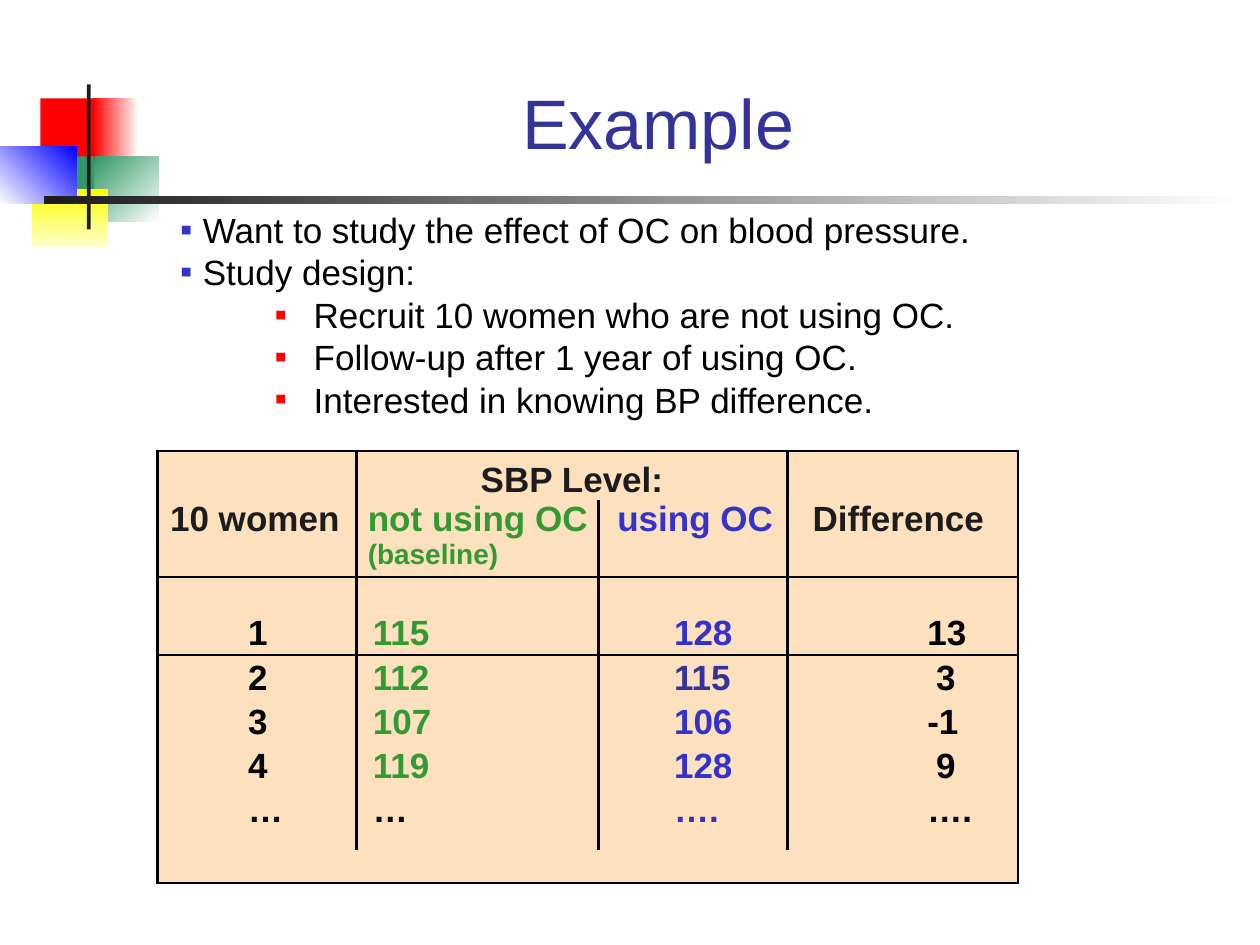
import pptx
import pptx.util
import pptx.dml.color
import pptx.enum.shapes
import pptx.enum.text
import pptx.oxml.ns
from dataclasses import dataclass
from lxml import etree

ALIGN = pptx.enum.text.PP_ALIGN
ANCHOR = pptx.enum.text.MSO_ANCHOR
qn = pptx.oxml.ns.qn


@dataclass(frozen=True)
class Theme:
    font: str = "Arial"
    head: int = 40
    text: int = 20
    small: int = 16
    ink: str = "000000"
    dark: str = "1C1C1C"
    navy: str = "333399"
    blue: str = "3333CC"
    green: str = "339933"
    red: str = "FF0000"
    sand: str = "FDE0BD"
    white: str = "FFFFFF"


T = Theme()
COLS = 100                       # grid columns over the slide's width
WIDE, HIGH = pptx.util.Inches(10), pptx.util.Inches(7.5)


def unit(n):
    """Length of n grid columns; rows have the same size."""
    return pptx.util.Emu(round(WIDE * n / COLS))


def tint(code):
    return pptx.dml.color.RGBColor.from_string(code)


def write(para, text, size=T.text, color=T.ink, bold=False, align=None):
    """Add one run of text to a paragraph."""
    if align is not None:
        para.alignment = align
    run = para.add_run()
    run.text = text
    run.font.name, run.font.size = T.font, pptx.util.Pt(size)
    run.font.bold, run.font.color.rgb = bold, tint(color)


def place(shape, left, top, width, height):
    shape.left, shape.top = unit(left), unit(top)
    shape.width, shape.height = unit(width), unit(height)


def block(group, box, first, last=None, angle=0):
    """Plain or graded block; the angle turns clockwise."""
    kind = pptx.enum.shapes.MSO_SHAPE.RECTANGLE
    shape = group.shapes.add_shape(kind, *map(unit, box))
    shape.shadow.inherit = False
    shape.line.fill.background()
    if last is None:
        shape.fill.solid()
        shape.fill.fore_color.rgb = tint(first)
        return
    shape.fill.gradient()
    shape.fill.gradient_angle = (360 - angle) % 360
    for stop, code in zip(shape.fill.gradient_stops, (first, last)):
        stop.color.rgb = tint(code)


def motif(slide):
    """Coloured blocks with the cross bars, behind the text."""
    group = slide.shapes.add_group_shape()
    for part in (
        ((3.2, 7.8, 4.8, 5.2), T.red),
        ((7.4, 7.8, 3.6, 5.2), T.red, T.white),
        ((7.5, 12.4, 5.1, 5.2), "339966", T.white, 45),
        ((4.3, 12.4, 3.2, 5.2), "339966"),
        ((2.5, 15, 6.1, 4.6), "FFFF00", "FFFFCC", 90),
        ((0, 11.6, 6.1, 4.6), T.white, "0000FF", 315),
        ((6.9, 6.7, 0.3, 11.5), T.dark),
        ((3.5, 15.6, 95.1, 0.6), T.dark, T.white),
    ):
        block(group, *part)
    slide.shapes._spTree.insert(2, group._element)


def bullet(para, color, left, hang):
    props = para._p.get_or_add_pPr()
    props.set("marL", str(unit(left)))
    props.set("indent", str(-unit(hang)))
    shade = etree.SubElement(props, qn("a:buClr"))
    etree.SubElement(shade, qn("a:srgbClr"), val=color)
    etree.SubElement(props, qn("a:buFont"), typeface=T.font)
    etree.SubElement(props, qn("a:buChar"), char="▪")


def points(body, items):
    """Bulleted list on two levels."""
    frame = body.text_frame
    frame.auto_size = pptx.enum.text.MSO_AUTO_SIZE.NONE
    for i, (level, text) in enumerate(items):
        para = frame.add_paragraph() if i else frame.paragraphs[0]
        para.level = level
        para.line_spacing = 0.8
        para.space_before = pptx.util.Pt(5 if i else 0)
        bullet(para, *((T.red, 10.6, 3.1) if level else (T.blue, 1.8, 1.8)))
        write(para, text)


def border(cell, sides):
    props = cell._tc.get_or_add_tcPr()
    for side in "LRTB":
        if side in sides:
            line = etree.SubElement(props, qn("a:ln" + side),
                                    w=str(pptx.util.Pt(1.75)))
            fill = etree.SubElement(line, qn("a:solidFill"))
            etree.SubElement(fill, qn("a:srgbClr"), val=T.ink)


def edges(row, col, span, last):
    """Sides to rule: the frame, the head's foot, and the columns."""
    def ruled(edge):
        return (edge in (0, 4) or edge in (1, 3) and row < last
                or edge == 2 and 1 < row < last)
    return ("L" * ruled(col) + "R" * ruled(col + span)
            + "T" * (row in (0, 2)) + "B" * (row in (1, last)))


def fill_cell(cell, lines, pad, top=0, anchor=ANCHOR.TOP, align=None):
    """Write (text, colour, size) lines into a cell."""
    cell.margin_left, cell.margin_top = unit(pad), unit(top)
    cell.margin_right = cell.margin_bottom = 0
    cell.vertical_anchor = anchor
    cell.fill.solid()
    cell.fill.fore_color.rgb = tint(T.sand)
    frame = cell.text_frame
    for i, (text, color, size) in enumerate(lines):
        para = frame.add_paragraph() if i else frame.paragraphs[0]
        write(para, text, size=size, color=color, bold=True, align=align)
    if not lines:
        etree.SubElement(frame.paragraphs[0]._p, qn("a:endParaRPr"), sz="800")


def grid(slide):
    """Table of pressure levels."""
    heads = (
        [("10 women", T.dark, T.text)],
        [("not using OC", T.green, T.text), ("(baseline)", T.green, T.small)],
        [("using OC", T.blue, T.text)],
        [("Difference", T.dark, T.text)],
    )
    data = (("1", "115", "128", "13"), ("2", "112", "115", "3"),
            ("3", "107", "106", "-1"), ("4", "119", "128", "9"),
            ("…", "…", "….", "…."))
    widths = (15.8, 19.2, 15, 18.3)
    heights = (3.9, 6.1, 6.2, 3.5, 3.5, 3.5, 5, 2.6)
    last = len(heights) - 1
    frame = slide.shapes.add_table(len(heights), len(widths), *map(
        unit, (12.5, 35.8, sum(widths), sum(heights))))
    table = frame.table
    table.first_row = table.horz_banding = False
    style = table._tbl.tblPr.find(qn("a:tableStyleId"))
    style.text = "{2D5ABB26-0587-4C30-8999-92F81FD0307C}"
    for col, width in zip(table.columns, widths):
        col.width = unit(width)
    for row, height in zip(table.rows, heights):
        row.height = unit(height)
    table.cell(0, 1).merge(table.cell(0, 2))

    for r in range(len(heights)):
        for c in range(len(widths)):
            cell = table.cell(r, c)
            if cell.is_spanned:
                continue
            span = cell.span_width if cell.is_merge_origin else 1
            border(cell, edges(r, c, span, last))
            if r == 0 and c == 1:
                fill_cell(cell, [("SBP Level:", T.dark, T.text)], 0,
                          anchor=ANCHOR.BOTTOM, align=ALIGN.CENTER)
            elif r == 1:
                fill_cell(cell, heads[c], (1, 0.9, 1.5, 2)[c])
            elif 1 < r < last:
                text = data[r - 2][c]
                color = (T.ink, T.green, T.blue, T.ink)[c]
                if (r, c) == (3, 2):
                    color = T.navy
                elif (r, c) == (last - 1, 1):
                    color = T.ink
                pad = (7.2, 1.3, 6, 11.1)[c]
                if c == 3 and len(text) == 1 and text.isdigit():
                    pad += 0.7
                fill_cell(cell, [(text, color, T.text)], pad,
                          top=0.3 if r > 2 else 2.9)
            else:
                fill_cell(cell, [], 0)


def main():
    deck = pptx.Presentation()
    deck.slide_width, deck.slide_height = WIDE, HIGH
    slide = deck.slides.add_slide(deck.slide_layouts[1])
    motif(slide)

    # Title
    title = slide.shapes.title
    place(title, 11.7, 5.8, 82.6, 7.6)
    title.text_frame.vertical_anchor = ANCHOR.TOP
    title.text_frame.auto_size = pptx.enum.text.MSO_AUTO_SIZE.NONE
    write(title.text_frame.paragraphs[0], "Example ", size=T.head,
          color=T.navy, align=ALIGN.CENTER)

    # List
    body = slide.placeholders[1]
    place(body, 13.3, 16.7, 81.7, 17.5)
    points(body, (
        (0, "Want to study the effect of OC on blood pressure."),
        (0, "Study design:"),
        (1, "Recruit 10 women who are not using OC."),
        (1, "Follow-up after 1 year of using OC."),
        (1, "Interested in knowing BP difference."),
    ))

    grid(slide)
    deck.save("out.pptx")


if __name__ == "__main__":
    main()
